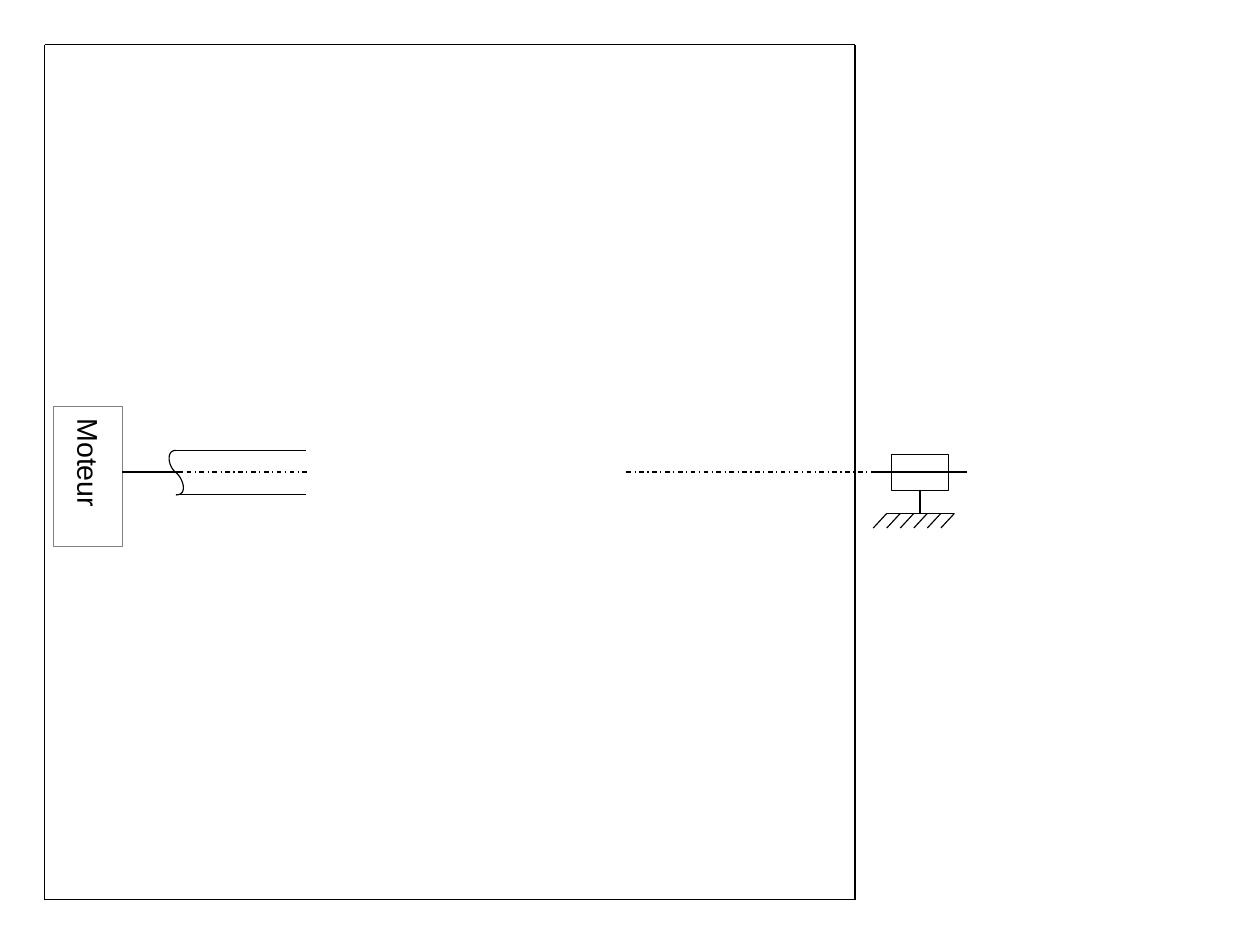
from dataclasses import dataclass
from pptx import Presentation
from pptx.dml.color import RGBColor
from pptx.enum.dml import MSO_LINE
from pptx.enum.shapes import MSO_CONNECTOR, MSO_SHAPE
from pptx.enum.text import MSO_ANCHOR, PP_ALIGN
from pptx.oxml.ns import qn
from pptx.util import Cm, Inches, Pt
from lxml.etree import SubElement


@dataclass
class Theme:
    ink: RGBColor = RGBColor(0, 0, 0)
    grey: RGBColor = RGBColor(0x80, 0x80, 0x80)
    font: str = "Arial"
    size: Pt = Pt(18)
    line: Pt = Pt(0.75)


theme = Theme()
AXIS = 4.13  # height of the shaft axis, in inches


def stroke(shape, color):
    shape.line.color.rgb = color
    shape.line.width = theme.line


def line(slide, x1, y1, x2, y2, dash=None):
    link = slide.shapes.add_connector(
        MSO_CONNECTOR.STRAIGHT, *map(Inches, (x1, y1, x2, y2)))
    stroke(link, theme.ink)
    if dash:
        link.line.dash_style = dash
    SubElement(link._element.spPr, qn("a:effectLst"))


def block(slide, box, color):
    shape = slide.shapes.add_shape(MSO_SHAPE.RECTANGLE, *map(Inches, box))
    shape.shadow.inherit = False
    shape.fill.background()
    stroke(shape, color)
    return shape


def frame(slide, box):
    x, y, w, h = box
    for side in (x, x + w):
        line(slide, side, y + h, side, y)
    for edge in (y, y + h):
        line(slide, x, edge, x + w, edge)


def bend(p, q, r, s, steps=16):
    """Points along a cubic curve, without its start."""
    for i in range(1, steps + 1):
        t = i / steps
        u = 1 - t
        yield tuple(Inches(u**3 * a + 3 * u * u * t * b
                           + 3 * u * t * t * c + t**3 * d)
                    for a, b, c, d in zip(p, q, r, s))


def shaft(slide, box):
    x, y, w, h = box
    # Upper and lower edges
    for edge in (y, y + h):
        line(slide, x, edge, x + w, edge)
    # Broken end
    top, mid, end = (x, y), (x, y + h / 2), (x, y + h)
    curve = [*bend(top, (x - 0.09, y), (x - 0.07, y + 0.36 * h), mid),
             *bend(mid, (x + 0.06, y + 0.62 * h), (x + 0.11, y + h), end)]
    pen = slide.shapes.build_freeform(Inches(x), Inches(y))
    pen.add_line_segments(curve, close=False)
    shape = pen.convert_to_shape()
    shape.shadow.inherit = False
    shape.fill.background()
    stroke(shape, theme.ink)


def motor(slide, box):
    shape = block(slide, box, theme.grey)
    text = shape.text_frame
    text.word_wrap = True
    text.vertical_anchor = MSO_ANCHOR.MIDDLE
    text.margin_left, text.margin_right = Inches(0.05), Inches(0.07)
    text.margin_top = text.margin_bottom = Inches(0.1)
    text._txBody.bodyPr.set("vert", "eaVert")
    text.text = "Moteur"
    para = text.paragraphs[0]
    para.alignment = PP_ALIGN.CENTER
    para.line_spacing = 0.93
    para.font.name, para.font.size = theme.font, theme.size
    para.font.color.rgb = theme.ink


def axis(slide):
    dash = MSO_LINE.DASH_DOT
    for x1, x2, style in ((1.07, 2.69, dash), (1.07, 1.6, None),
                          (5.48, 7.64, dash), (7.64, 8.46, None)):
        line(slide, x1, AXIS, x2, AXIS, style)


def bearing(slide, box, count=6):
    x, y, w, h = box
    block(slide, (x + 0.16, y, 0.5, 0.31), theme.ink)
    # Ground line, stem and hatching
    step = w / count
    floor = y + 0.8 * h
    line(slide, x + step, floor, x + w, floor)
    line(slide, x + 0.41, floor, x + 0.41, y + 0.31)
    for i in range(count):
        line(slide, x + i * step, y + h, x + (i + 1) * step, floor)


def main():
    deck = Presentation()
    deck.slide_width, deck.slide_height = Cm(28), Cm(21)
    slide = deck.slides.add_slide(deck.slide_layouts[6])
    frame(slide, (0.39, 0.39, 7.09, 7.48))
    shaft(slide, (1.54, 3.94, 1.14, 0.39))
    motor(slide, (0.47, 3.56, 0.6, 1.22))
    axis(slide)
    bearing(slide, (7.64, 3.98, 0.71, 0.64))
    deck.save("out.pptx")


if __name__ == "__main__":
    main()
